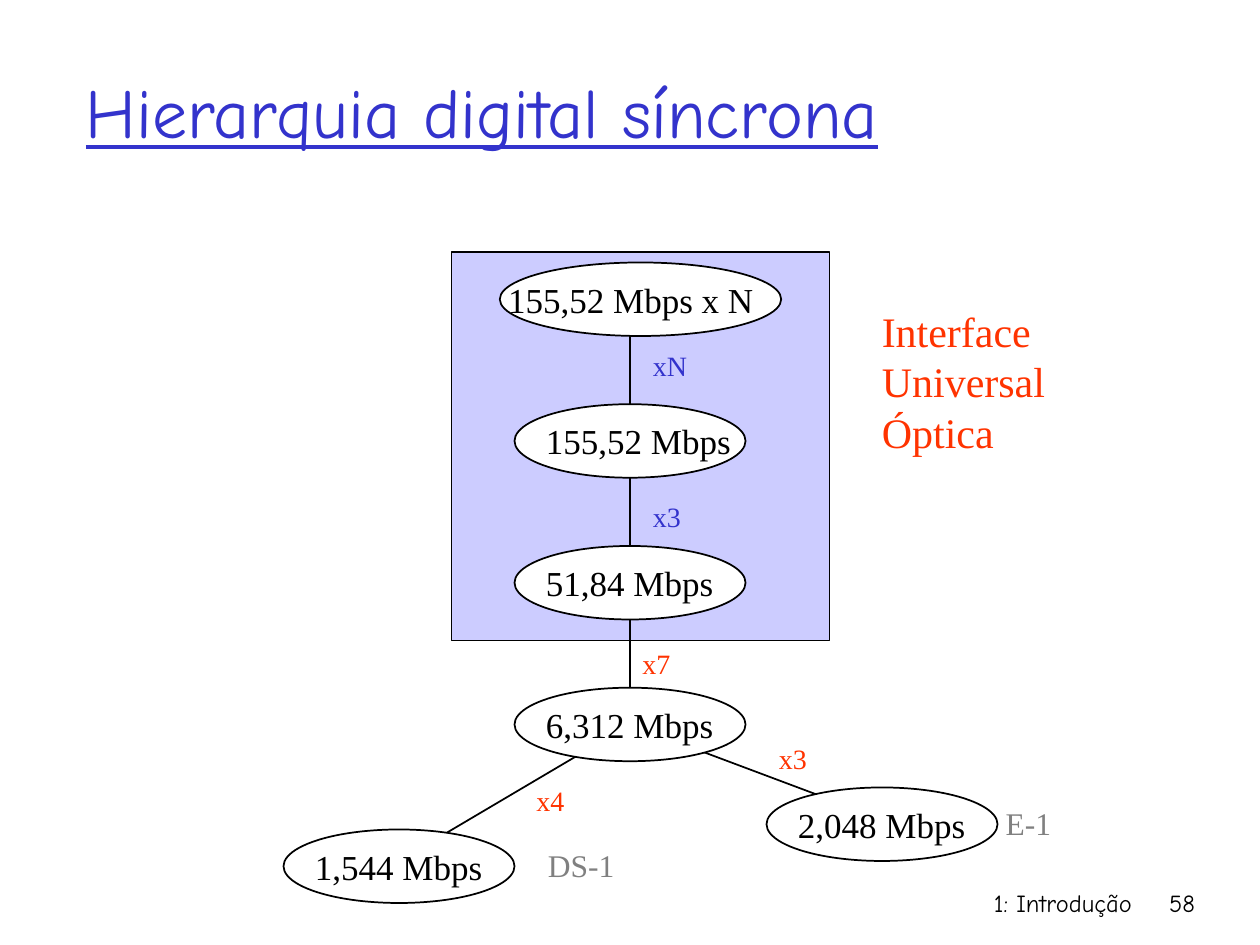
from pptx import Presentation
from pptx.dml.color import RGBColor
from pptx.enum.shapes import MSO_CONNECTOR, MSO_SHAPE
from pptx.enum.text import MSO_ANCHOR, MSO_AUTO_SIZE, PP_ALIGN
from pptx.oxml.ns import qn
from pptx.util import Pt
from lxml import etree

PX = 7620
RECTANGLE, ELLIPSE = MSO_SHAPE.RECTANGLE, MSO_SHAPE.OVAL
STRAIGHT = MSO_CONNECTOR.STRAIGHT
TOP, MIDDLE = MSO_ANCHOR.TOP, MSO_ANCHOR.MIDDLE
LEFT, RIGHT = PP_ALIGN.LEFT, PP_ALIGN.RIGHT
GROW, FIXED = MSO_AUTO_SIZE.SHAPE_TO_FIT_TEXT, MSO_AUTO_SIZE.NONE
COMIC, TIMES = "Comic Neue", "Times New Roman"
BLACK, WHITE, GRAY = "000000", "FFFFFF", "808080"
BLUE, LAVENDER, RED = "3333CC", "CCCCFF", "FF3300"


def emu(*lengths):
    return [length * PX for length in lengths]


def rgb(color):
    return RGBColor.from_string(color)


class HierarchySlide:
    """Draws the elements of the digital hierarchy in one style."""

    def __init__(self, slide):
        self.shapes = slide.shapes

    def shape(self, kind, box, fill):
        shape = self.shapes.add_shape(kind, *emu(*box))
        shape.shadow.inherit = False
        shape.fill.solid()
        shape.fill.fore_color.rgb = rgb(fill)
        shape.line.color.rgb = rgb(BLACK)
        shape.line.width = Pt(1)
        return shape

    def link(self, start, end):
        link = self.shapes.add_connector(STRAIGHT, *emu(*start, *end))
        link.line.color.rgb = rgb(BLACK)
        link.line.width = Pt(1)
        etree.SubElement(link.element.spPr, qn("a:effectLst"))

    def text(self, words, box, size, color, font=TIMES, wrap=False,
             align=LEFT, anchor=TOP, underline=None):
        text = self.shapes.add_textbox(*emu(*box))
        frame = text.text_frame
        frame.text = words
        frame.word_wrap = wrap
        frame.auto_size = FIXED if wrap else GROW
        frame.vertical_anchor = anchor
        for paragraph in frame.paragraphs:
            paragraph.alignment = align
            for run in paragraph.runs:
                run.font.name = font
                run.font.size = Pt(size)
                run.font.color.rgb = rgb(color)
                run.font.underline = underline
        return text

    def rate(self, words, left, top, width=220, indent=18, text_width=186):
        ellipse = self.shape(ELLIPSE, (left, top, width, 70), WHITE)
        label = self.text(words, (left + indent, top + 9, text_width, 52), 20, BLACK)
        self.shapes.add_group_shape([ellipse, label])


def main():
    presentation = Presentation()
    presentation.slide_width, presentation.slide_height = emu(1200, 900)
    slide = HierarchySlide(presentation.slides.add_slide(presentation.slide_layouts[6]))

    slide.text("1: Introdução", (710, 840, 380, 60), 14, BLACK, COMIC, True, RIGHT)
    slide.text("58", (1090, 840, 60, 60), 14, BLACK, COMIC, True, RIGHT)
    slide.text("Hierarquia digital síncrona", (70, 30, 1020, 150), 40, BLUE,
               COMIC, True, anchor=MIDDLE, underline=True)

    slide.shape(RECTANGLE, (430, 240, 360, 370), LAVENDER)
    junction = (600, 690)
    for start, end in [((600, 290), (600, 680)), (junction, (840, 780)),
                       ((380, 820), junction)]:
        slide.link(start, end)

    slide.rate("155,52 Mbps x N", 476, 250, 268, -4, 260)
    slide.rate("155,52 Mbps", 490, 385, text_width=202)
    for words, left, top in [("51,84 Mbps", 490, 520), ("6,312 Mbps", 490, 655),
                             ("1,544 Mbps", 270, 790), ("2,048 Mbps", 730, 750)]:
        slide.rate(words, left, top)

    for factor, left, top, width, color in [
        ("xN", 610, 326, 60, BLUE),
        ("x3", 610, 470, 54, BLUE),
        ("x7", 600, 610, 54, RED),
        ("x4", 499, 740, 54, RED),
        ("x3", 730, 700, 54, RED),
    ]:
        slide.text(factor, (left, top, width, 44), 16, color)

    slide.text("DS-1", (510, 800, 90, 48), 18, GRAY)
    slide.text("E-1", (946, 760, 70, 48), 18, GRAY)
    slide.text("Interface\nUniversal\nÓptica", (828, 285, 182, 156), 24, RED)

    presentation.save("out.pptx")


if __name__ == "__main__":
    main()
